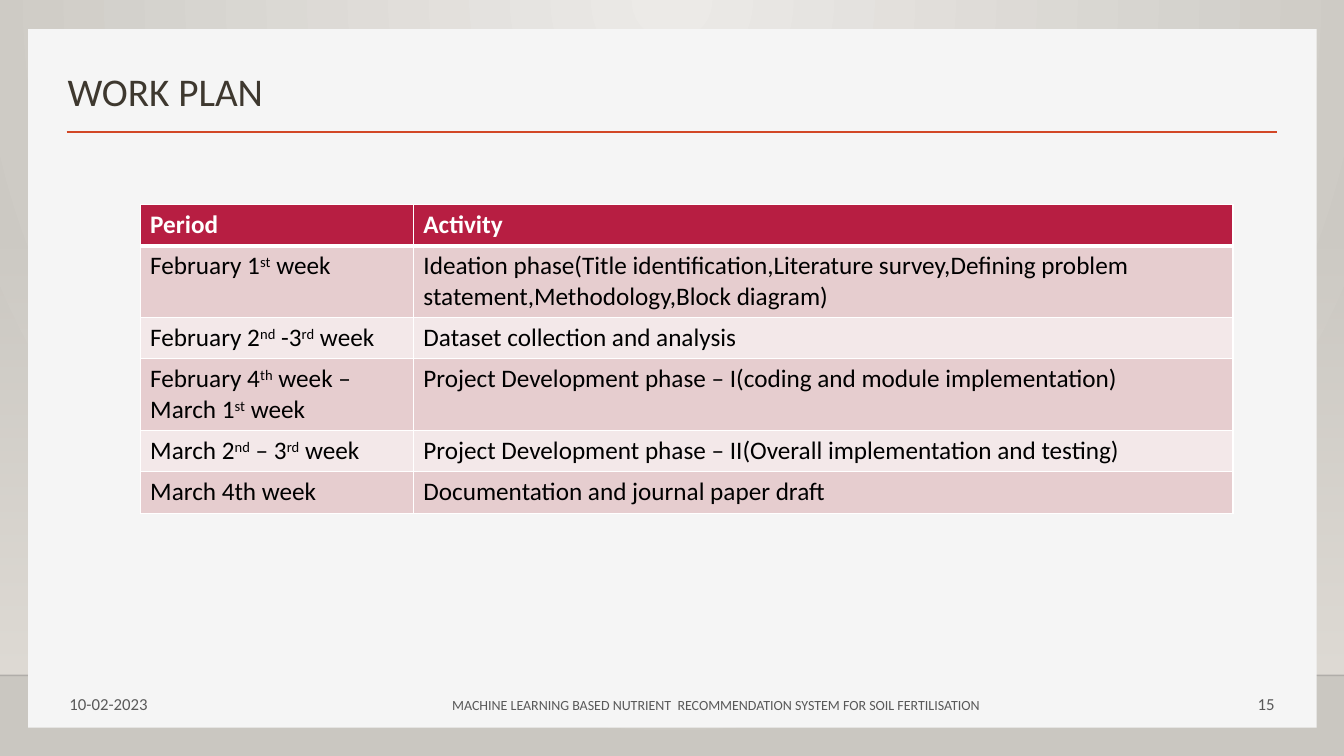
from lxml.etree import SubElement
from pptx import Presentation
from pptx.dml.color import RGBColor
from pptx.enum.shapes import MSO_CONNECTOR, MSO_SHAPE
from pptx.enum.text import MSO_ANCHOR as ANCHOR, PP_ALIGN as ALIGN
from pptx.oxml.ns import qn
from pptx.util import Inches, Pt

FONT = "Calibri"
TITLE = "WORK PLAN"
# Text between carets is superscript
PLAN = [
    ("Period", "Activity"),
    ("February 1^st^ week",
     "Ideation phase(Title identification,Literature survey,Defining problem "
     "statement,Methodology,Block diagram)"),
    ("February 2^nd^ -3^rd^ week", "Dataset collection and analysis"),
    ("February 4^th^ week – March 1^st^ week",
     "Project Development phase – I(coding and module implementation)"),
    ("March 2^nd^ – 3^rd^ week",
     "Project Development phase – II(Overall implementation and testing)"),
    ("March 4th week", "Documentation and journal paper draft"),
]
FOOTERS = [  # text, left, top, width, size, alignment
    ("10-02-2023", 0.59, 6.78, 3.58, 12, ALIGN.LEFT),
    ("15", 9.16, 6.78, 3.58, 12, ALIGN.RIGHT),
    ("MACHINE LEARNING BASED NUTRIENT  RECOMMENDATION SYSTEM FOR SOIL FERTILISATION",
     3.91, 6.79, 6.38, 10, ALIGN.CENTER),
]
COL_WIDTHS = (2.71, 8.13)
ROW_HEIGHT = 0.41
HEADER_FILL, BAND_FILLS = "B71E42", ("F3E8E9", "E6CDCF")


def rgb(value):
    return RGBColor.from_string(value)


def style(p, size, color, bold=False, align=ALIGN.LEFT):
    p.alignment = align
    p.font.name, p.font.size, p.font.bold = FONT, Pt(size), bold
    p.font.color.rgb = rgb(color)


def set_gradient(fill, start, end):
    fill.gradient()
    for stop, color, position in zip(fill.gradient_stops, (start, end), (0, 1)):
        stop.color.rgb, stop.position = rgb(color), position


def set_alpha(color_el, percent):
    SubElement(color_el, qn("a:alpha")).set("val", str(percent * 1000))


def add_panel(s, left, top, width, height):
    sp = s.shapes.add_shape(MSO_SHAPE.RECTANGLE, Inches(left), Inches(top),
                            Inches(width), Inches(height))
    sp.shadow.inherit = False
    sp.line.fill.background()
    return sp


def add_rule(s, left, right, y, color, width):
    line = s.shapes.add_connector(MSO_CONNECTOR.STRAIGHT, Inches(left), Inches(y),
                                  Inches(right), Inches(y))
    line.line.color.rgb, line.line.width = rgb(color), Pt(width)
    SubElement(line.element.spPr, qn("a:effectLst"))
    return line


def add_border(cell, side, width):
    ln = SubElement(cell._tc.get_or_add_tcPr(), qn(f"a:ln{side}"), w=str(Pt(width)))
    SubElement(SubElement(ln, qn("a:solidFill")), qn("a:srgbClr"), val="FFFFFF")


def add_background(s):
    set_gradient(s.background.fill, "ECEAE7", "CAC7C1")
    grad = s.element.find(".//" + qn("a:gradFill"))
    for lin in grad.findall(qn("a:lin")):
        grad.remove(lin)
    glow = SubElement(grad, qn("a:path"), {"path": "circle"})
    SubElement(glow, qn("a:fillToRect"), l="43000", t="0", r="43000", b="100000")

    wall = add_panel(s, 0, 2.21, 13.33, 4.49)
    set_gradient(wall.fill, "DFDBD5", "DFDBD5")
    wall.fill.gradient_angle = 270
    set_alpha(wall.element.find(".//" + qn("a:srgbClr")), 0)
    floor_line = add_rule(s, 0, 13.33, 6.7, "000001", 1)
    set_alpha(floor_line.element.find(".//" + qn("a:srgbClr")), 20)
    page = add_panel(s, 0.28, 0.29, 12.78, 6.93)
    page.fill.solid()
    page.fill.fore_color.rgb = rgb("F5F5F5")
    add_rule(s, 0.66, 12.67, 1.31, "D24726", 2)


def add_title(s):
    title = s.shapes.title
    title.element.getparent().append(title.element)  # in front of the page
    title.left, title.top = Inches(0.57), Inches(0.49)
    title.width, title.height = Inches(7.52), Inches(0.7)
    tf = title.text_frame
    tf.text, tf.vertical_anchor = TITLE, ANCHOR.BOTTOM
    style(tf.paragraphs[0], 28, "3E382F")
    tf.paragraphs[0].line_spacing = 0.9


def add_plan(s):
    table = s.shapes.add_table(len(PLAN), len(COL_WIDTHS), Inches(1.39), Inches(2.03),
                               Inches(sum(COL_WIDTHS)),
                               Inches(ROW_HEIGHT * len(PLAN))).table
    table.horz_banding = False
    for column, width in zip(table.columns, COL_WIDTHS):
        column.width = Inches(width)
    for i, row in enumerate(PLAN):
        header = i == 0
        table.rows[i].height = Inches(ROW_HEIGHT)
        for j, text in enumerate(row):
            cell = table.cell(i, j)
            for side in "LRTB":
                under_header = (i, side) in ((0, "B"), (1, "T"))
                add_border(cell, side, 3 if under_header else 1)
            cell.fill.solid()
            cell.fill.fore_color.rgb = rgb(HEADER_FILL if header else BAND_FILLS[i % 2])
            p = cell.text_frame.paragraphs[0]
            style(p, 18, "FFFFFF" if header else "000000", bold=header)
            for k, part in enumerate(text.split("^")):
                r = p.add_run()
                r.text = part
                if k % 2:
                    r._r.get_or_add_rPr().set("baseline", "30000")


def add_footers(s):
    for text, left, top, width, size, align in FOOTERS:
        tf = s.shapes.add_textbox(Inches(left), Inches(top), Inches(width),
                                  Inches(0.4)).text_frame
        tf.word_wrap, tf.vertical_anchor = True, ANCHOR.MIDDLE
        tf.text = text
        style(tf.paragraphs[0], size, "595959", align=align)


def main():
    prs = Presentation()
    prs.slide_width, prs.slide_height = Inches(13.33), Inches(7.5)
    s = prs.slides.add_slide(prs.slide_layouts[5])
    add_background(s)
    add_title(s)
    add_plan(s)
    add_footers(s)
    prs.save("out.pptx")


if __name__ == "__main__":
    main()
